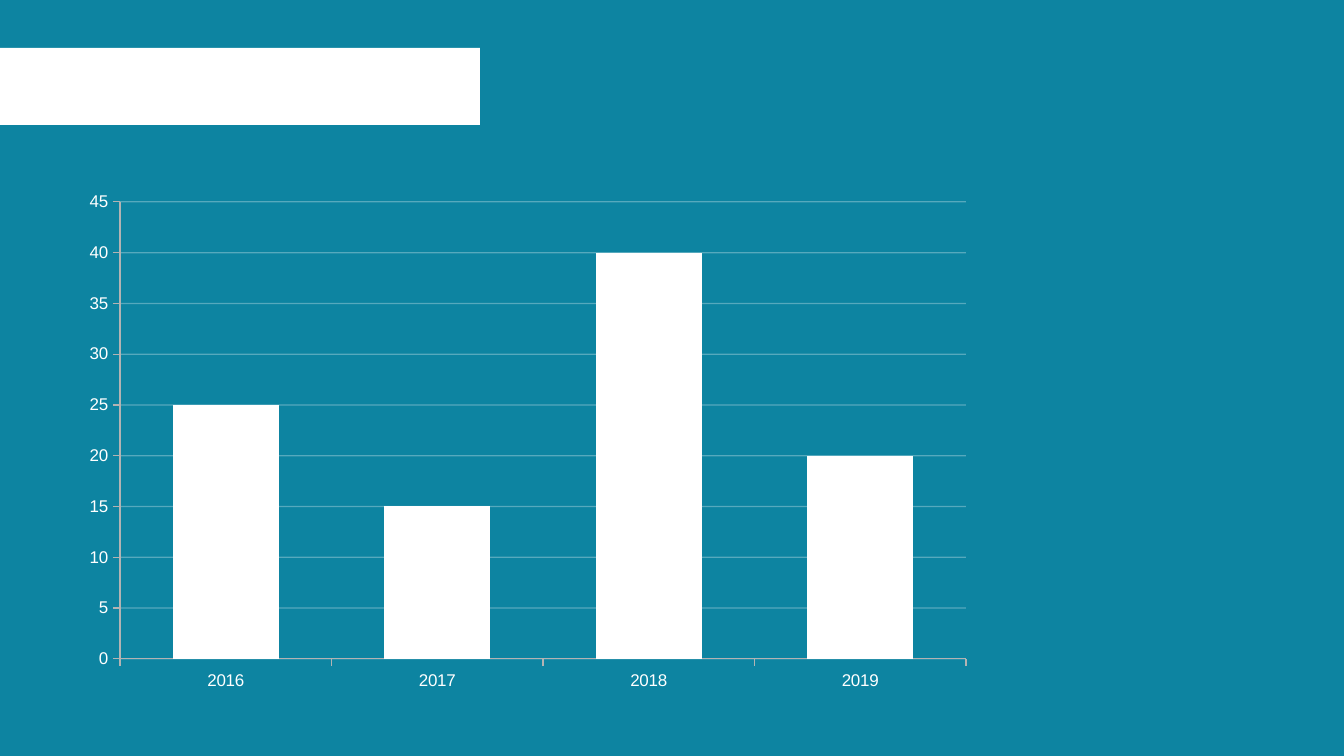
from lxml import etree
from pptx import Presentation
from pptx import util as u
from pptx.chart import data as chart_data
from pptx.dml.color import RGBColor
from pptx.enum import chart as ce, shapes
from pptx.oxml import parse_xml
from pptx.oxml.ns import nsdecls, qn

PX = u.Inches(1) / 122
COLORS = {"teal": "0D84A1", "white": "FFFFFF", "axis": "B3B3B3"}


def px(*lengths):
    return [u.Emu(round(length * PX)) for length in lengths]


def rgb(name):
    return RGBColor.from_string(COLORS[name])


prs = Presentation()
prs.slide_width, prs.slide_height = px(1344, 756)
slide = prs.slides.add_slide(prs.slide_layouts[6])
slide.background.fill.solid()
slide.background.fill.fore_color.rgb = rgb("teal")

title_band = slide.shapes.add_shape(shapes.MSO_SHAPE.RECTANGLE, *px(0, 48, 480, 77))
title_band.shadow.inherit = False
title_band.fill.solid()
title_band.fill.fore_color.rgb = rgb("white")
title_band.line.fill.background()

yearly = chart_data.CategoryChartData()
yearly.categories = ["2016", "2017", "2018", "2019"]
yearly.add_series("Series 1", [25, 15, 40, 20])
chart = slide.shapes.add_chart(
    ce.XL_CHART_TYPE.COLUMN_CLUSTERED, *px(72, 183, 913, 518), yearly
).chart
chart.has_legend = False
chart.has_title = False
chart.font.name = "Arial"
chart.font.size = u.Pt(10)

columns = chart.plots[0]
columns.vary_by_categories = False
columns.gap_width = 100
columns.series[0].format.fill.solid()
columns.series[0].format.fill.fore_color.rgb = rgb("white")

years, amounts = chart.category_axis, chart.value_axis
for axis in (years, amounts):
    axis.major_tick_mark = ce.XL_TICK_MARK.OUTSIDE
    axis.minor_tick_mark = ce.XL_TICK_MARK.NONE
    axis.format.line.color.rgb = rgb("axis")
    axis.format.line.width = u.Pt(0)
    axis.tick_labels.font.name = "Arial"
    axis.tick_labels.font.size = u.Pt(10)
    axis.tick_labels.font.color.rgb = rgb("white")

amounts.minimum_scale = 0
amounts.maximum_scale = 45
amounts.major_unit = 5
grid = amounts.major_gridlines.format.line
grid.color.rgb = rgb("white")
grid.width = u.Pt(0)
grid_color = amounts.major_gridlines._xAx.find(qn("c:majorGridlines")).find(".//" + qn("a:srgbClr"))
etree.SubElement(grid_color, qn("a:alpha"), val="30000")

plot_area = chart.plots[0]._element.getparent()
for layout in plot_area.findall(qn("c:layout")):
    plot_area.remove(layout)
plot_area.insert(0, parse_xml(
    f'<c:layout {nsdecls("c")}><c:manualLayout><c:layoutTarget val="inner"/>'
    '<c:xMode val="edge"/><c:yMode val="edge"/>'
    f'<c:x val="{48 / 913:.4f}"/><c:y val="{19 / 518:.4f}"/>'
    f'<c:w val="{846 / 913:.4f}"/><c:h val="{457 / 518:.4f}"/>'
    '</c:manualLayout></c:layout>'
))

prs.save("out.pptx")
